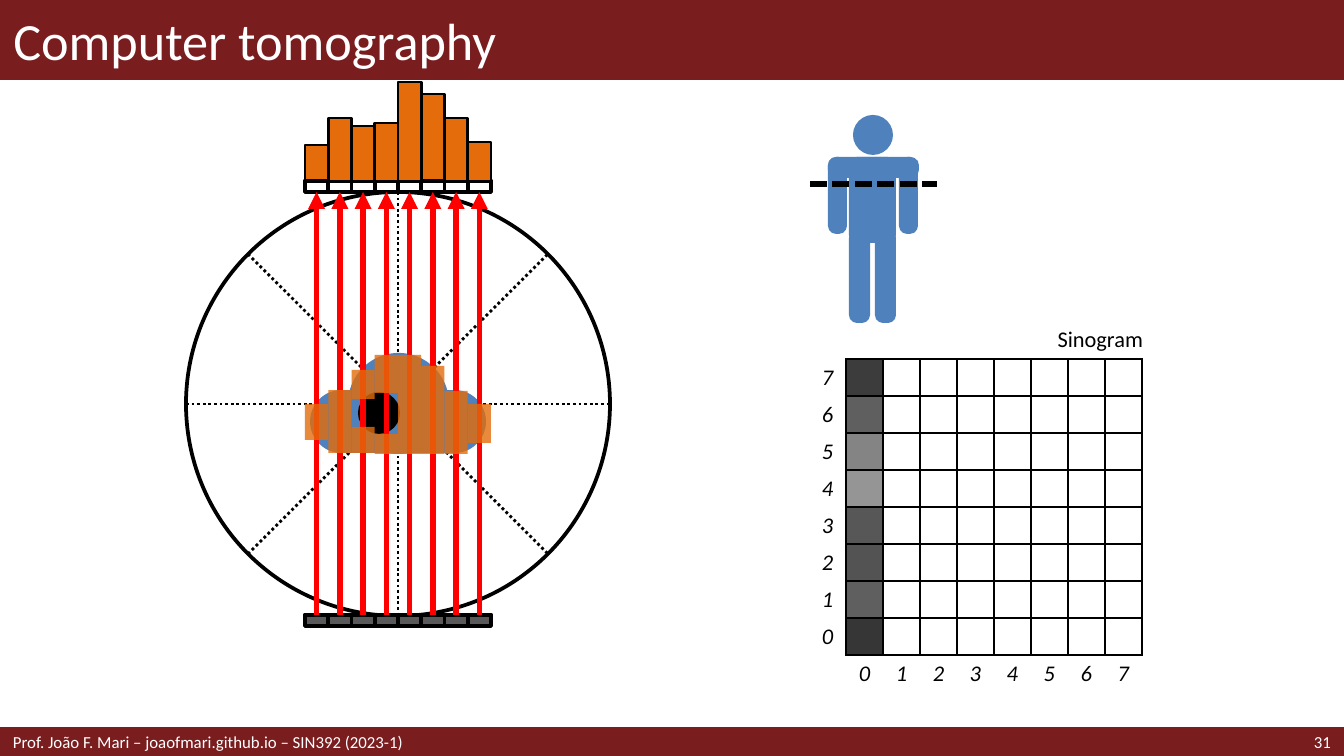
"""Build the computer tomography slide with its scanner, patient and sinogram."""
from lxml.etree import SubElement
from pptx import Presentation
from pptx.dml.color import RGBColor
from pptx.enum.dml import MSO_LINE
from pptx.enum.shapes import MSO_CONNECTOR, MSO_SHAPE
from pptx.enum.text import MSO_ANCHOR, PP_ALIGN
from pptx.oxml.ns import qn
from pptx.util import Emu, Pt

PX = 914400 / 134.4
FONT = "Calibri"
MAROON = RGBColor(0x79, 0x1D, 0x1F)
WHITE = RGBColor(0xFF, 0xFF, 0xFF)
BLACK = RGBColor(0, 0, 0)
GRAY = RGBColor(0x59, 0x59, 0x59)
BLUE = RGBColor(0x4F, 0x81, 0xBD)
RED = RGBColor(0xFF, 0, 0)
ORANGE = RGBColor(0xE4, 0x6C, 0x0A)
NO_STYLE = "{2D5ABB26-0587-4C30-8999-92F81FD0307C}"

TITLE = "Computer tomography"
FOOTER = "Prof. João F. Mari – joaofmari.github.io – SIN392 (2023-1)"
PAGE = "31"
SINOGRAM = "Sinogram"
SINOGRAM_COLUMN = [0x3C, 0x5F, 0x84, 0x95, 0x57, 0x53, 0x5F, 0x36]
PROFILE = [36, 63, 55, 58, 99, 87, 63, 39]
ABSORPTION = [
    (0, 404, 36), (1, 390, 63), (2, 427, 26), (3, 434, 20), (4, 355, 99),
    (5, 366, 88), (6, 391, 63), (7, 404, 39), (2, 370, 29), (3, 355, 38),
]
BODY_SECTION = [
    (MSO_SHAPE.OVAL, (348, 353, 101, 101), BLUE),
    (MSO_SHAPE.OVAL, (423, 390, 63, 63), BLUE),
    (MSO_SHAPE.RECTANGLE, (341, 390, 114, 63), BLUE),
    (MSO_SHAPE.OVAL, (310, 390, 63, 63), BLUE),
    (MSO_SHAPE.OVAL, (358, 392, 42, 42), BLACK),
]
PATIENT = [
    ((828, 157, 19, 77), 0.43), ((828, 157, 91, 21), 0.39),
    ((899, 157, 19, 77), 0.43), ((849, 157, 47, 86), 0.17),
    ((849, 230, 21, 93), 0.38), ((875, 230, 21, 93), 0.38),
]
HEAD = (853, 115, 40, 40)

COUNT = len(PROFILE)
DETECTOR_LEFT, DETECTOR_WIDTH, DETECTOR_HEIGHT = 305, 186, 11
PITCH = DETECTOR_WIDTH / COUNT
DETECTOR_TOP, EMITTER_TOP = 181, 615
CENTER_X, CENTER_Y, RADIUS, DIAGONAL = 398, 404, 212, 150
TABLE_LEFT, TABLE_TOP, CELL = 809, 359, 37


def px(value):
    return Emu(round(value * PX))


def add_box(shapes, kind, box, fill=None, line=None, width=1, alpha=None, corner=None):
    shape = shapes.add_shape(kind, *map(px, box))
    shape.shadow.inherit = False
    if corner is not None:
        shape.adjustments[0] = corner
    if fill is None:
        shape.fill.background()
    else:
        shape.fill.solid()
        shape.fill.fore_color.rgb = fill
    if alpha is not None:
        color = shape._element.spPr.find(qn("a:solidFill"))[0]
        SubElement(color, qn("a:alpha"), val=str(alpha * 1000))
    if line is None:
        shape.line.fill.background()
    else:
        shape.line.color.rgb = line
        shape.line.width = Pt(width)
    return shape


def add_line(shapes, start, end, color=BLACK, width=1.5, dash=None, arrow=False):
    line = shapes.add_connector(MSO_CONNECTOR.STRAIGHT, *map(px, start + end))
    line.line.color.rgb = color
    line.line.width = Pt(width)
    if dash:
        line.line.dash_style = dash
    if arrow:
        SubElement(line.line._get_or_add_ln(), qn("a:tailEnd"), type="triangle")
    SubElement(line._element.spPr, qn("a:effectLst"))


def write_text(frame, text, size=12, color=BLACK, align=PP_ALIGN.LEFT, italic=False):
    paragraph = frame.paragraphs[0]
    paragraph.alignment = align
    if not text:
        SubElement(paragraph._p, qn("a:endParaRPr"), sz=str(size * 100))
        return
    run = paragraph.add_run()
    run.text = text
    run.font.name = FONT
    run.font.size = Pt(size)
    run.font.italic = italic
    run.font.color.rgb = color


def add_text(slide, box, text, right_inset=13, anchor=MSO_ANCHOR.MIDDLE, **text_format):
    frame = slide.shapes.add_textbox(*map(px, box)).text_frame
    frame.word_wrap = True
    frame.vertical_anchor = anchor
    frame.margin_left, frame.margin_right = px(13), px(right_inset)
    frame.margin_top = frame.margin_bottom = 0
    write_text(frame, text, **text_format)


def add_frame(slide):
    for top, height in ((0, 79), (728, 28)):
        add_box(slide.shapes, MSO_SHAPE.RECTANGLE, (0, top, 1344, height), MAROON, MAROON)
    title = slide.shapes.title
    slide.shapes._spTree.append(title._element)
    title.left, title.top, title.width, title.height = map(px, (0, 0, 1344, 79))
    title.text_frame.vertical_anchor = MSO_ANCHOR.MIDDLE
    write_text(title.text_frame, TITLE, size=28, color=WHITE)
    add_text(slide, (1191, 728, 153, 28), PAGE, size=9, color=WHITE, align=PP_ALIGN.RIGHT)
    add_text(slide, (0, 728, 926, 28), FOOTER, size=9, color=WHITE)


def column_box(index, top, height):
    return DETECTOR_LEFT + index * PITCH, top, PITCH, height


def add_scanner(slide):
    gantry = slide.shapes.add_group_shape().shapes
    ring = (CENTER_X - RADIUS, CENTER_Y - RADIUS, 2 * RADIUS, 2 * RADIUS)
    add_box(gantry, MSO_SHAPE.OVAL, ring, line=BLACK, width=2)
    for dx, dy in ((DIAGONAL, -DIAGONAL), (0, RADIUS), (RADIUS, 0), (DIAGONAL, DIAGONAL)):
        add_line(gantry, (CENTER_X - dx, CENTER_Y - dy), (CENTER_X + dx, CENTER_Y + dy),
                 dash=MSO_LINE.ROUND_DOT)
    for top, fill in ((DETECTOR_TOP, None), (EMITTER_TOP, GRAY)):
        row = slide.shapes.add_group_shape().shapes
        boxes = [(DETECTOR_LEFT, top, DETECTOR_WIDTH, DETECTOR_HEIGHT)]
        boxes += [column_box(index, top, DETECTOR_HEIGHT) for index in range(COUNT)]
        for box in boxes:
            add_box(row, MSO_SHAPE.RECTANGLE, box, fill, BLACK, 2)
    section = slide.shapes.add_group_shape().shapes
    for kind, box, fill in BODY_SECTION:
        add_box(section, kind, box, fill)
    beams = slide.shapes.add_group_shape().shapes
    for index in range(COUNT):
        x = DETECTOR_LEFT + (index + 0.5) * PITCH
        add_line(beams, (x, EMITTER_TOP), (x, DETECTOR_TOP + DETECTOR_HEIGHT), RED, 3, arrow=True)


def add_border(cell, *sides):
    for side in sides:
        line = SubElement(cell._tc.get_or_add_tcPr(), qn(f"a:ln{side}"), w=str(Pt(1)))
        fill = SubElement(line, qn("a:solidFill"))
        SubElement(fill, qn("a:srgbClr"), val=str(BLACK))


def add_sinogram(slide):
    size = COUNT + 1
    box = (TABLE_LEFT, TABLE_TOP, size * CELL, size * CELL)
    table = slide.shapes.add_table(size, size, *map(px, box)).table
    table.first_row = table.horz_banding = False
    table._tbl.tblPr.find(qn("a:tableStyleId")).text = NO_STYLE
    for line in (*table.rows, *table.columns):
        setattr(line, "height" if hasattr(line, "height") else "width", px(CELL))
    for row in range(size):
        for column in range(size):
            cell = table.cell(row, column)
            cell.margin_left = cell.margin_right = cell.margin_top = cell.margin_bottom = 0
            cell.vertical_anchor = MSO_ANCHOR.MIDDLE
            label = ""
            if row < COUNT and column > 0:
                add_border(cell, "L", "R", "T", "B")
            elif row < COUNT:
                label = str(COUNT - 1 - row)
                add_border(cell, "R")
            elif column > 0:
                label = str(column - 1)
                add_border(cell, "T")
            write_text(cell.text_frame, label, align=PP_ALIGN.CENTER, italic=True)
            if row < COUNT and column == 1:
                cell.fill.solid()
                cell.fill.fore_color.rgb = RGBColor(*[SINOGRAM_COLUMN[row]] * 3)


def add_patient(slide):
    patient = slide.shapes.add_group_shape().shapes
    for box, corner in PATIENT:
        add_box(patient, MSO_SHAPE.ROUNDED_RECTANGLE, box, BLUE, corner=corner)
    add_box(patient, MSO_SHAPE.OVAL, HEAD, BLUE)
    add_line(patient, (810, 184), (937, 184), width=3, dash=MSO_LINE.SQUARE_DOT)


def add_profiles(slide):
    overlay = slide.shapes.add_group_shape().shapes
    for index, top, height in ABSORPTION:
        add_box(overlay, MSO_SHAPE.RECTANGLE, column_box(index, top, height), ORANGE, alpha=80)
    bars = slide.shapes.add_group_shape().shapes
    for index, height in enumerate(PROFILE):
        box = column_box(index, DETECTOR_TOP - height, height)
        add_box(bars, MSO_SHAPE.RECTANGLE, box, ORANGE, BLACK, 1.5)


def main():
    presentation = Presentation()
    presentation.slide_width, presentation.slide_height = px(1344), px(756)
    slide = presentation.slides.add_slide(presentation.slide_layouts[5])
    for add_part in (add_frame, add_scanner, add_sinogram, add_patient, add_profiles):
        add_part(slide)
    add_text(slide, (868, 325, 275, 28), SINOGRAM, right_inset=0, anchor=MSO_ANCHOR.TOP,
             align=PP_ALIGN.RIGHT)
    presentation.save("out.pptx")


if __name__ == "__main__":
    main()
